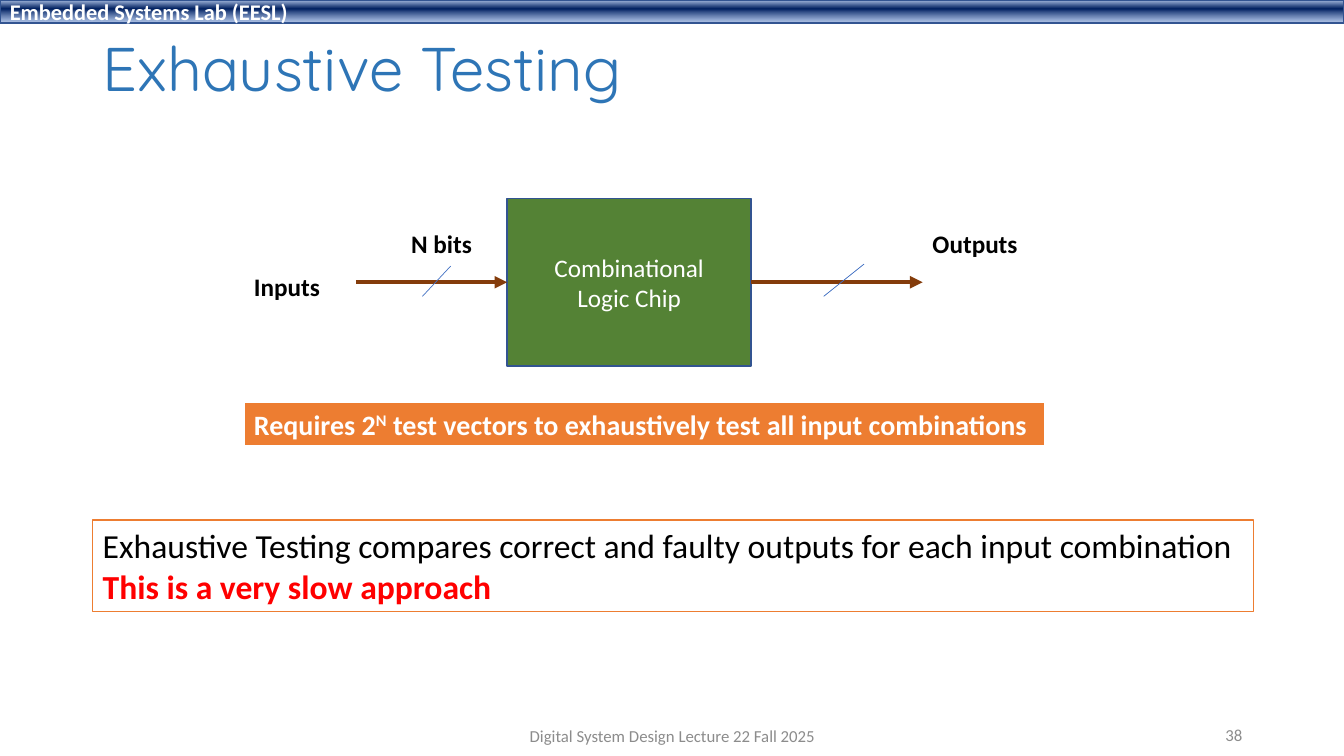
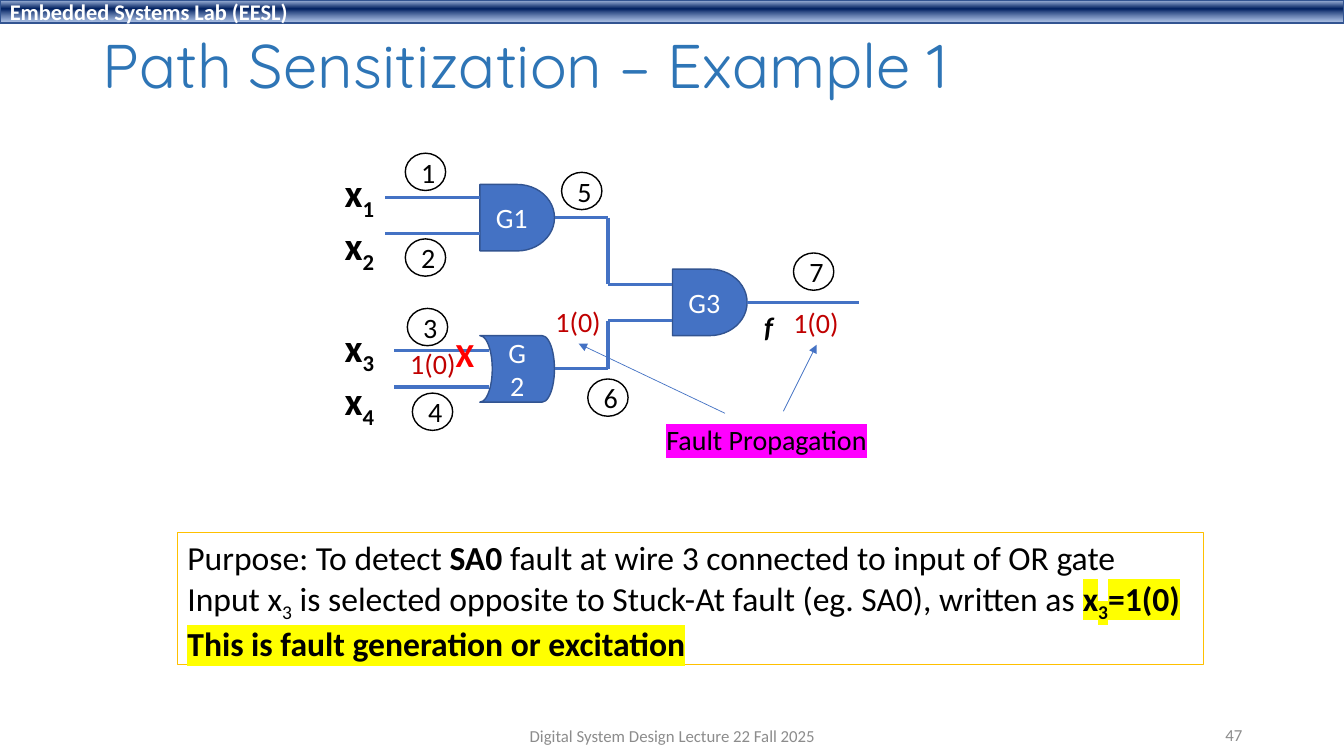
from dataclasses import dataclass
from functools import partial
from itertools import pairwise
from typing import NamedTuple, Optional

from lxml.etree import SubElement
from pptx import Presentation
from pptx.dml.color import RGBColor
from pptx.enum.shapes import MSO_CONNECTOR, MSO_SHAPE
from pptx.enum.text import MSO_ANCHOR, PP_ALIGN
from pptx.oxml.ns import qn
from pptx.shapes.autoshape import Shape
from pptx.shapes.connector import Connector
from pptx.slide import Slide
from pptx.util import Inches, Pt


@dataclass(frozen=True)
class Theme:
    body_font: str = "Calibri"
    title_font: str = "Quicksand"
    title_size: float = 44
    variable_size: float = 28
    body_size: float = 24
    diagram_size: float = 20
    label_size: float = 18
    band_size: float = 16
    footer_size: float = 12
    title: str = "2E75B6"
    text: str = "000000"
    light: str = "FFFFFF"
    footer: str = "8C8C8C"
    alert: str = "FF0000"
    value: str = "C00000"
    wire: str = "4472C4"
    outline: str = "325491"
    chip: str = "548235"
    signal: str = "843C0B"
    orange: str = "ED7D31"
    gold: str = "FFC000"
    yellow: str = "FFFF00"
    magenta: str = "FF00FF"
    # position in percent, colour, opacity in percent
    band_stops: tuple = ((2, "ABC0E4", 100), (38, "002060", 100), (93, "7E9ED6", 64))


THEME = Theme()
SLIDE_WIDTH, SLIDE_HEIGHT = 13.33, 7.5
TITLE_BOTTOM = 1.15


class Point(NamedTuple):
    x: float
    y: float


class Box(NamedTuple):
    left: float
    top: float
    width: float
    height: float


@dataclass(frozen=True)
class Run:
    text: str
    size: float = THEME.body_size
    color: str = THEME.text
    bold: bool = False
    italic: bool = False
    baseline: int = 0
    highlight: Optional[str] = None
    font: str = THEME.body_font


@dataclass(frozen=True)
class Gate:
    name: str
    left: float
    top: float
    outline: MSO_SHAPE = MSO_SHAPE.FLOWCHART_DELAY
    flipped: bool = False


@dataclass(frozen=True)
class Label:
    box: Box
    run: Run


Paragraphs = list[list[Run]]
Subscript = partial(Run, baseline=-25)
DiagramRun = partial(Run, size=THEME.diagram_size)


def rgb(color: str) -> RGBColor:
    return RGBColor.from_string(color)


def write(shape: Shape, paragraphs: Paragraphs, align: PP_ALIGN = PP_ALIGN.LEFT,
          anchor: MSO_ANCHOR = MSO_ANCHOR.TOP, wrap: bool = True) -> None:
    frame = shape.text_frame
    frame.word_wrap = wrap
    frame.vertical_anchor = anchor
    for index, runs in enumerate(paragraphs):
        paragraph = frame.add_paragraph() if index else frame.paragraphs[0]
        paragraph.alignment = align
        for spec in runs:
            run = paragraph.add_run()
            run.text = spec.text
            font = run.font
            font.size, font.bold, font.italic = Pt(spec.size), spec.bold, spec.italic
            font.color.rgb = rgb(spec.color)
            properties = run._r.get_or_add_rPr()
            if spec.baseline:
                properties.set("baseline", str(spec.baseline * 1000))
            if spec.highlight:
                marker = SubElement(properties, qn("a:highlight"))
                SubElement(marker, qn("a:srgbClr")).set("val", spec.highlight)
            font.name = spec.font


def add_text(slide: Slide, box: Box, paragraphs: Paragraphs, align: PP_ALIGN = PP_ALIGN.LEFT,
             anchor: MSO_ANCHOR = MSO_ANCHOR.TOP, wrap: bool = False) -> Shape:
    shape = slide.shapes.add_textbox(*map(Inches, box))
    write(shape, paragraphs, align, anchor, wrap)
    return shape


def add_figure(slide: Slide, outline: MSO_SHAPE, box: Box, fill: Optional[str],
               line: str, line_width: float = 1) -> Shape:
    shape = slide.shapes.add_shape(outline, *map(Inches, box))
    shape.shadow.inherit = False
    if fill:
        shape.fill.solid()
        shape.fill.fore_color.rgb = rgb(fill)
    else:
        shape.fill.background()
    shape.line.color.rgb = rgb(line)
    shape.line.width = Pt(line_width)
    return shape


def add_line(slide: Slide, start: Point, end: Point, color: str = THEME.wire,
             width: float = 0.5, arrow: bool = False) -> Connector:
    line = slide.shapes.add_connector(MSO_CONNECTOR.STRAIGHT, *map(Inches, (*start, *end)))
    line.line.color.rgb = rgb(color)
    line.line.width = Pt(width)
    if arrow:
        SubElement(line.line._get_or_add_ln(), qn("a:tailEnd")).set("type", "triangle")
    SubElement(line.element.spPr, qn("a:effectLst"))
    return line


def add_band(slide: Slide) -> None:
    band = add_figure(slide, MSO_SHAPE.RECTANGLE, Box(0, 0, SLIDE_WIDTH, 0.23),
                      None, THEME.outline)
    band.fill.gradient()
    band.fill.gradient_angle = 270
    stops = band.element.spPr.find(".//" + qn("a:gsLst"))
    for stop in list(stops):
        stops.remove(stop)
    for position, color, opacity in THEME.band_stops:
        stop = SubElement(stops, qn("a:gs"))
        stop.set("pos", str(position * 1000))
        stop_color = SubElement(stop, qn("a:srgbClr"))
        stop_color.set("val", color)
        if opacity < 100:
            SubElement(stop_color, qn("a:alpha")).set("val", str(opacity * 1000))
    write(band, [[Run("Embedded Systems Lab (EESL)", THEME.band_size, THEME.light, bold=True)]],
          anchor=MSO_ANCHOR.MIDDLE)


def start_slide(deck: Presentation, title: str, title_top: float, number: int) -> Slide:
    """Add a slide with the shared band, title and footer."""
    slide = deck.slides.add_slide(deck.slide_layouts[6])
    add_band(slide)
    heading = add_text(slide, Box(0.92, title_top, 11.5, TITLE_BOTTOM - title_top),
                       [[Run(title, THEME.title_size, THEME.title, font=THEME.title_font)]],
                       anchor=MSO_ANCHOR.MIDDLE, wrap=True)
    heading.text_frame.paragraphs[0].line_spacing = 0.9
    for box, text, align in (
        (Box(4.42, 7.1, 4.5, 0.4), "Digital System Design Lecture 22 Fall 2025", PP_ALIGN.CENTER),
        (Box(9.42, 7.09, 3, 0.4), str(number), PP_ALIGN.RIGHT),
    ):
        add_text(slide, box, [[Run(text, THEME.footer_size, THEME.footer)]],
                 align, MSO_ANCHOR.MIDDLE, wrap=True)
    return slide


def add_panel(slide: Slide, box: Box, paragraphs: Paragraphs, fill: str, line: str,
              line_width: float = 1) -> None:
    write(add_figure(slide, MSO_SHAPE.RECTANGLE, box, fill, line, line_width), paragraphs)


def add_labels(slide: Slide, labels: list[Label]) -> None:
    for label in labels:
        add_text(slide, label.box, [[label.run]])


def add_gate(slide: Slide, gate: Gate) -> None:
    shape = add_figure(slide, gate.outline, Box(gate.left, gate.top, 0.74, 0.66),
                       THEME.wire, THEME.outline)
    if gate.flipped:
        shape.element.spPr.xfrm.set("flipH", "1")
    write(shape, [[DiagramRun(gate.name, color=THEME.light)]],
          PP_ALIGN.CENTER, MSO_ANCHOR.MIDDLE)


def build_exhaustive_testing(deck: Presentation) -> None:
    slide = start_slide(deck, "Exhaustive Testing", 0.28, 38)
    chip_box = Box(5.03, 1.97, 2.42, 1.66)
    chip = add_figure(slide, MSO_SHAPE.RECTANGLE, chip_box, THEME.chip, THEME.outline)
    write(chip, [[Run(text, THEME.label_size, THEME.light)]
                 for text in ("Combinational", "Logic Chip")],
          PP_ALIGN.CENTER, MSO_ANCHOR.MIDDLE)

    signal_y = chip_box.top + chip_box.height / 2
    chip_right = chip_box.left + chip_box.width
    add_signal = partial(add_line, slide, color=THEME.signal, width=3, arrow=True)
    add_signal(Point(3.53, signal_y), Point(chip_box.left, signal_y)).end_connect(chip, 1)
    add_signal(Point(chip_right, signal_y), Point(9.15, signal_y)).begin_connect(chip, 3)
    add_line(slide, Point(4.47, 2.64), Point(4.19, 2.94))
    add_line(slide, Point(8.57, 2.62), Point(8.17, 2.94))

    SignalRun = partial(Run, size=THEME.label_size, bold=True)
    add_labels(slide, [
        Label(Box(3.98, 2.22, 0.81, 0.4), SignalRun("N bits")),
        Label(Box(2.42, 2.64, 0.86, 0.4), SignalRun("Inputs")),
        Label(Box(9.15, 2.22, 1.05, 0.4), SignalRun("Outputs")),
    ])
    CostRun = partial(Run, size=THEME.diagram_size, color=THEME.light, bold=True)
    add_panel(slide, Box(2.42, 3.99, 7.95, 0.44), [[
        CostRun("Requires 2"), CostRun("N", baseline=30),
        CostRun(" test vectors to exhaustively test all input combinations"),
    ]], THEME.orange, THEME.light, 1.5)
    add_panel(slide, Box(0.92, 5.16, 11.51, 0.91), [
        [Run("Exhaustive Testing compares correct and faulty outputs for each input combination")],
        [Run("This is a very slow approach", color=THEME.alert, bold=True)],
    ], THEME.light, THEME.orange)


def build_path_sensitization(deck: Presentation) -> None:
    slide = start_slide(deck, "Path Sensitization – Example 1", 0.22, 47)
    for gate in (
        Gate("G1", 4.76, 1.83),
        Gate("G3", 6.67, 2.67),
        Gate("G2", 4.76, 3.33, MSO_SHAPE.FLOWCHART_STORED_DATA, flipped=True),
    ):
        add_gate(slide, gate)

    for route in (
        [Point(3.82, 1.96), Point(4.76, 1.96)],
        [Point(3.82, 2.32), Point(4.76, 2.32)],
        [Point(3.91, 3.48), Point(4.85, 3.48)],
        [Point(3.91, 3.84), Point(4.85, 3.84)],
        [Point(5.5, 2.16), Point(6.03, 2.16), Point(6.03, 2.82), Point(6.67, 2.82)],
        [Point(5.5, 3.66), Point(6.03, 3.66), Point(6.03, 3.18), Point(6.67, 3.18)],
        [Point(7.41, 3), Point(8.52, 3)],
    ):
        for start, end in pairwise(route):
            add_line(slide, start, end, width=2.25)

    wire_numbers = (Point(4.02, 1.52), Point(4.02, 2.37), Point(4.04, 3.06), Point(4.09, 3.9),
                    Point(5.57, 1.71), Point(5.83, 3.76), Point(7.87, 2.51))
    for number, corner in enumerate(wire_numbers, start=1):
        circle = add_figure(slide, MSO_SHAPE.OVAL, Box(*corner, 0.4, 0.37), None, THEME.text)
        write(circle, [[DiagramRun(str(number))]], PP_ALIGN.CENTER, MSO_ANCHOR.MIDDLE)

    Marked = partial(Run, bold=True, highlight=THEME.yellow)
    add_panel(slide, Box(1.76, 5.28, 10.18, 1.31), [
        [Run("Purpose: To detect "), Run("SA0", bold=True),
         Run(" fault at wire 3 connected to input of OR gate")],
        [Run("Input x"), Subscript("3"),
         Run(" is selected opposite to Stuck-At fault (eg. SA0), written as "),
         Marked("x"), Marked("3", baseline=-25), Marked("=1(0)")],
        [Marked("This is fault generation or excitation")],
    ], THEME.light, THEME.gold)

    variables = add_text(slide, Box(3.32, 1.62, 0.52, 2.46), [
        [Run("x", THEME.variable_size, bold=True),
         Subscript(str(index), THEME.variable_size, bold=True)]
        for index in range(1, 5)
    ])
    variables.text_frame.paragraphs[2].space_before = Pt(34)

    add_labels(slide, [
        Label(Box(4.42, 3.26, 0.39, 0.5), Run("X", color=THEME.alert, bold=True)),
        Label(Box(7.48, 3.02, 0.29, 0.44), DiagramRun("f", bold=True, italic=True)),
        *(Label(Box(*corner, 0.66, 0.44), DiagramRun("1(0)", color=THEME.value))
          for corner in (Point(3.97, 3.39), Point(5.41, 2.97), Point(7.77, 2.98))),
        Label(Box(6.51, 4.14, 2.21, 0.44),
              DiagramRun("Fault Propagation", highlight=THEME.magenta)),
    ])
    add_line(slide, Point(7.19, 4.1), Point(5.74, 3.41), arrow=True)
    add_line(slide, Point(7.77, 4.08), Point(8.1, 3.42), arrow=True)


def main() -> None:
    deck = Presentation()
    deck.slide_width, deck.slide_height = Inches(SLIDE_WIDTH), Inches(SLIDE_HEIGHT)
    build_exhaustive_testing(deck)
    build_path_sensitization(deck)
    deck.save("out.pptx")


if __name__ == "__main__":
    main()
